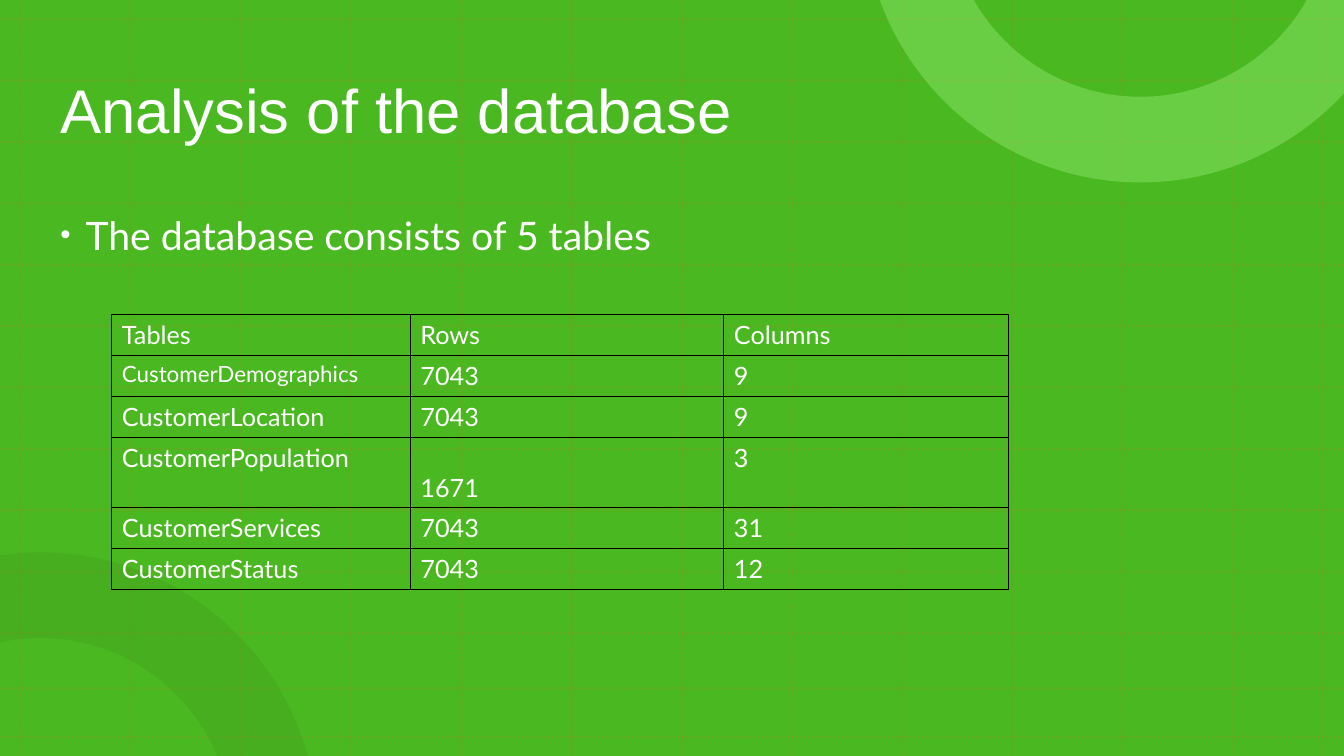
import math

from lxml import etree
from pptx import Presentation
from pptx import util as u
from pptx.dml.color import RGBColor
from pptx.enum import dml, shapes, text
from pptx.oxml import ns

WIDTH, HEIGHT = 13.33, 7.5
LEFT, TEXT_WIDTH = 0.5, 11.73

GREEN = RGBColor(0x4A, 0xB8, 0x21)
DARK_GREEN = RGBColor(0x38, 0x8A, 0x19)
LIGHT_GREEN = RGBColor(0x8B, 0xE4, 0x6A)
ORANGE = RGBColor(0xD5, 0x71, 0x17)
WHITE = RGBColor(0xFF, 0xFF, 0xFF)
BLACK = RGBColor(0, 0, 0)

TABLE_ROWS = [
    ("Tables", "Rows", "Columns"),
    ("CustomerDemographics", "7043", "9"),
    ("CustomerLocation", "7043", "9"),
    ("CustomerPopulation", "1671", "3"),
    ("CustomerServices", "7043", "31"),
    ("CustomerStatus", "7043", "12"),
]
COLUMN_WIDTHS = [2.96, 3.11, 2.82]
ROW_POINTS = [29.2, 29.2, 29.2, 50.4, 29.2, 29.2]


def add_xml(parent, tag, **attributes):
    return etree.SubElement(parent, ns.qn(tag), attributes)


def set_alpha(parent, percent):
    """Make the solid colour found under parent see-through."""
    color = next(parent.iter(ns.qn("a:srgbClr")))
    add_xml(color, "a:alpha", val=str(percent * 1000))


def set_fill(shape, color):
    shape.shadow.inherit = False
    shape.fill.solid()
    shape.fill.fore_color.rgb = color
    shape.line.fill.background()


def style_text(paragraph, font_name, size):
    font = paragraph.font
    font.name, font.size = font_name, u.Pt(size)
    font.color.rgb = WHITE


def add_grid_line(grid, x1, y1, x2, y2):
    line = grid.shapes.add_connector(
        shapes.MSO_CONNECTOR.STRAIGHT, *map(u.Inches, (x1, y1, x2, y2)))
    line.line.color.rgb = ORANGE
    line.line.width = u.Pt(1.5)
    line.line.dash_style = dml.MSO_LINE.ROUND_DOT
    properties = line.element.spPr
    set_alpha(properties, 20)
    add_xml(properties, "a:effectLst")


def add_grid(page):
    grid = page.shapes.add_group_shape()
    # Even pitch, with the last lines pulled in from the slide's edges
    for x in [0.2 + 12.03 * i / 11 for i in range(12)] + [13.11]:
        add_grid_line(grid, x, 0, x, HEIGHT)
    for y in [0.19 + 6.09 * i / 10 for i in range(11)] + [6.83, 7.31]:
        add_grid_line(grid, 0, y, WIDTH, y)


def arc_points(center, radius, angles):
    """Bezier points of a circle's arc that passes the angles in degrees."""
    def at(angle, pull=0):
        a = math.radians(angle)
        return (center[0] + radius * (math.cos(a) - pull * math.sin(a)),
                center[1] + radius * (math.sin(a) + pull * math.cos(a)))

    points = [at(angles[0])]
    for start, end in zip(angles, angles[1:]):
        pull = 4 / 3 * math.tan(math.radians(end - start) / 4)
        points += [at(start, pull), at(end, -pull), at(end)]
    return points


def add_ring(page, center, outer, inner, corners, color, opacity):
    """Part of a ring, cut off at the slide's edges."""
    outer_points = arc_points(center, 2.75, outer)
    inner_points = arc_points(center, 1.9, inner)
    points = [(u.Inches(x), u.Inches(y))
              for x, y in outer_points + corners + inner_points]
    builder = page.shapes.build_freeform(*points[0])
    builder.add_line_segments(points[1:], close=True)
    ring = builder.convert_to_shape()
    set_fill(ring, color)
    set_alpha(ring.element.spPr, opacity)

    # Join each three points of an arc into one curve
    lines = list(ring.element.iter(ns.qn("a:lnTo")))
    inner_start = len(outer_points) + len(corners)
    for arc in (lines[:len(outer_points) - 1], lines[inner_start:]):
        for first in range(0, len(arc), 3):
            curve = etree.Element(ns.qn("a:cubicBezTo"))
            arc[first].addprevious(curve)
            for line in arc[first:first + 3]:
                curve.append(line[0])
                line.getparent().remove(line)


def add_background(page):
    backdrop = page.shapes.add_shape(
        shapes.MSO_SHAPE.RECTANGLE, 0, 0, u.Inches(WIDTH), u.Inches(HEIGHT))
    set_fill(backdrop, GREEN)
    add_grid(page)
    add_ring(page, (0.4, 8.23), (-98.4, -90, -15.4), (-22.6, -90, -102.2), [],
             DARK_GREEN, 20)
    add_ring(page, (11.31, -0.94), (160, 90, 42.7), (29.7, 90, 150.3),
             [(WIDTH, 0)], LIGHT_GREEN, 50)


def place_title(page, wording, left, top, width, height):
    title = page.shapes.title
    title.left, title.top, title.width, title.height = map(
        u.Inches, (left, top, width, height))
    title.text = wording
    title.text_frame.vertical_anchor = text.MSO_ANCHOR.MIDDLE
    para = title.text_frame.paragraphs[0]
    para.alignment = text.PP_ALIGN.LEFT
    para.line_spacing = 0.9
    style_text(para, "Arial", 44)
    # Bring the title in front of the background
    title.element.getparent().append(title.element)


def add_bullet_text(page, wording, left, top, width, height):
    box = page.shapes.add_textbox(*map(u.Inches, (left, top, width, height)))
    box.text_frame.word_wrap = True
    para = box.text_frame.paragraphs[0]
    para.text = wording
    para.line_spacing, para.space_before = 1.1, u.Pt(10)
    style_text(para, "Lato", 28)
    properties = para._p.get_or_add_pPr()
    properties.set("marL", str(u.Inches(0.25)))
    properties.set("indent", str(u.Inches(-0.25)))
    bullet_color = add_xml(properties, "a:buClr")
    add_xml(bullet_color, "a:srgbClr", val=str(WHITE))
    add_xml(properties, "a:buSzPct", val="75000")
    add_xml(properties, "a:buFont", typeface="Arial")
    add_xml(properties, "a:buChar", char="•")
    # Run defaults come after the bullet settings
    properties.append(properties.find(ns.qn("a:defRPr")))


def add_borders(cell):
    properties = cell._tc.get_or_add_tcPr()
    for position, side in enumerate(("a:lnL", "a:lnR", "a:lnT", "a:lnB")):
        border = etree.Element(ns.qn(side), w=str(u.Pt(1)))
        fill = add_xml(border, "a:solidFill")
        add_xml(fill, "a:srgbClr", val=str(BLACK))
        properties.insert(position, border)


def add_database_table(page, left, top):
    frame = page.shapes.add_table(
        len(TABLE_ROWS), len(COLUMN_WIDTHS), u.Inches(left), u.Inches(top),
        u.Inches(sum(COLUMN_WIDTHS)), u.Pt(sum(ROW_POINTS)))
    table = frame.table
    table.first_row = table.horz_banding = False
    for column, width in zip(table.columns, COLUMN_WIDTHS):
        column.width = u.Inches(width)
    for row, height, values in zip(table.rows, ROW_POINTS, TABLE_ROWS):
        row.height = u.Pt(height)
        for cell, value in zip(row.cells, values):
            cell.text = value
            cell.fill.background()
            add_borders(cell)
            size = 16 if value == "CustomerDemographics" else 18
            style_text(cell.text_frame.paragraphs[0], "Lato", size)
            if value == "1671":
                cell.vertical_anchor = text.MSO_ANCHOR.BOTTOM


def main():
    deck = Presentation()
    deck.slide_width, deck.slide_height = u.Inches(WIDTH), u.Inches(HEIGHT)
    page = deck.slides.add_slide(deck.slide_layouts.get_by_name("Title Only"))
    add_background(page)
    place_title(page, "Analysis of the database", LEFT, 0.4, TEXT_WIDTH, 1.45)
    add_bullet_text(page, "The database consists of 5 tables",
                    LEFT, 2, TEXT_WIDTH, 4.76)
    add_database_table(page, 1.11, 3.12)
    deck.save("out.pptx")


if __name__ == "__main__":
    main()
